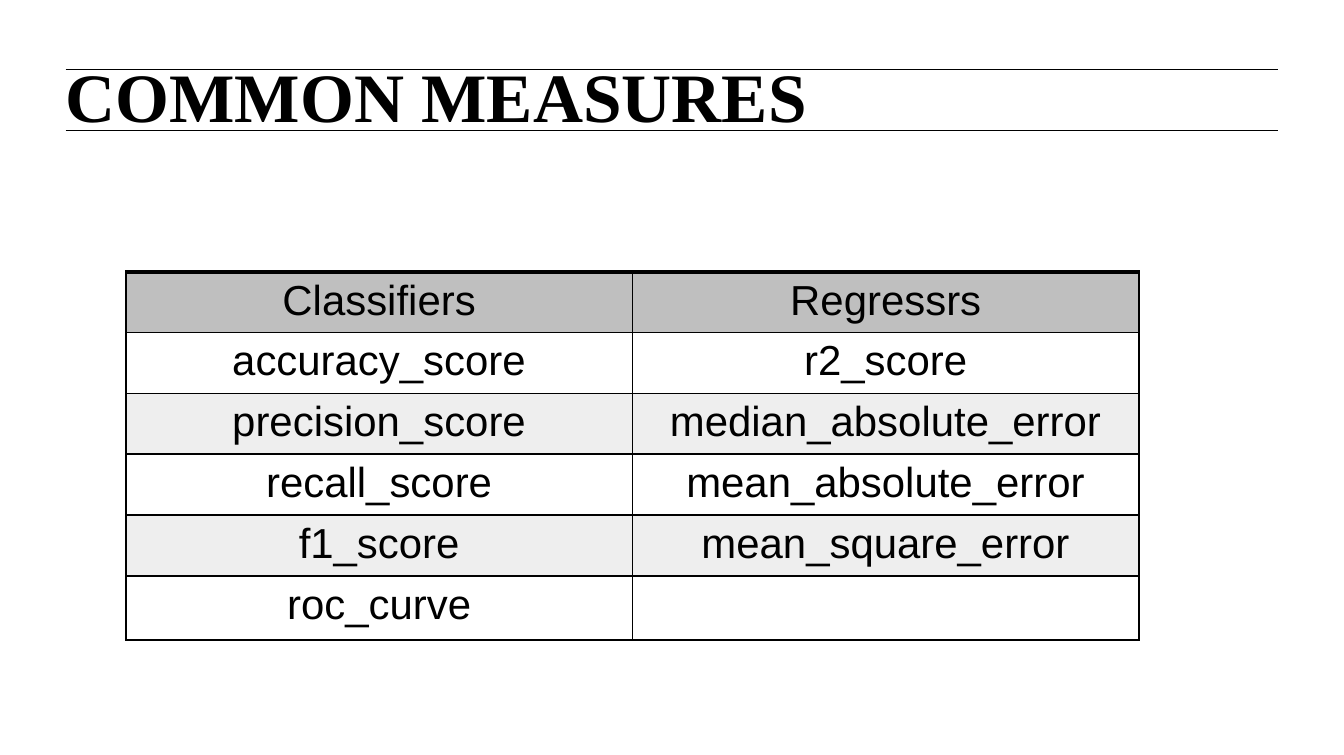
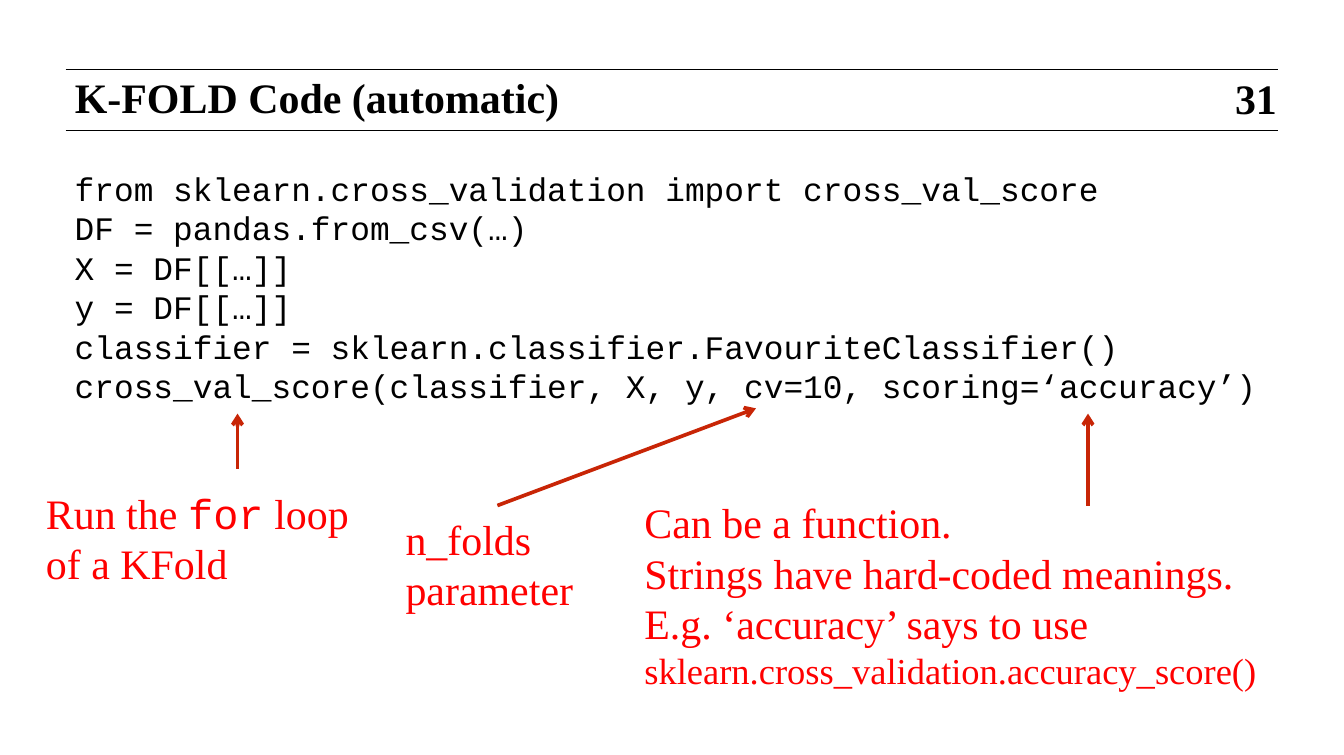
from lxml import etree
from pptx import Presentation
from pptx import util as u
from pptx.dml.color import RGBColor
from pptx.enum import shapes, text
from pptx.oxml.ns import qn

BLACK, RED, ARROW = "000000", "FF0000", "C82506"
HEADER, BAND = "BFBFBF", "EEEEEE"
SERIF, SANS, MONO = "Times New Roman", "Arial", "Courier New"

prs = Presentation()
prs.slide_width, prs.slide_height = u.Inches(10.24), u.Inches(5.75)
COL = prs.slide_width // 1024
ROW = prs.slide_height // 575


def rgb(value):
    return RGBColor.from_string(value)


def add_text(s, box, lines, size=23, font=SERIF, color=BLACK, bold=False,
             inset=6, anchor=text.MSO_ANCHOR.MIDDLE, spacing=None):
    x, y, w, h = box
    sp = s.shapes.add_textbox(x * COL, y * ROW, w * COL, h * ROW)
    tf = sp.text_frame
    tf.word_wrap = True
    tf.vertical_anchor = anchor
    tf.margin_left = tf.margin_right = inset * COL
    tf.margin_top = tf.margin_bottom = inset * ROW
    tf.text = "\n".join(lines)
    for p in tf.paragraphs:
        p.line_spacing = spacing
        for r in p.runs:
            r.font.size, r.font.name, r.font.bold = u.Pt(size), font, bold
            r.font.color.rgb = rgb(color)
    return sp


measures, kfold = [prs.slides.add_slide(prs.slide_layouts[6]) for _ in range(2)]

titles = [
    (measures, (50, 55, 921, 64), "COMMON MEASURES", 38, 0, 35),
    (kfold, (51, 55, 861, 57), "K-FOLD Code (automatic)", 23, 6, 23),
]
lines = []
for s, box, title, size, inset, spacing in titles:
    add_text(s, box, [title], size, bold=True, inset=inset,
             anchor=text.MSO_ANCHOR.TOP, spacing=u.Pt(spacing))
    for y in (53, 99):
        lines.append((s, (50, y, 974, y), BLACK, 0.25, None))

rows = [
    ("Classifiers", "Regressrs"),
    ("accuracy_score", "r2_score"),
    ("precision_score", "median_absolute_error"),
    ("recall_score", "mean_absolute_error"),
    ("f1_score", "mean_square_error"),
    ("roc_curve", ""),
]
frame = measures.shapes.add_table(
    len(rows), 2, 96 * COL, 207 * ROW, 772 * COL, 279 * ROW)
tbl = frame.table
tbl.first_row = tbl.horz_banding = False
for i, row in enumerate(rows):
    tbl.rows[i].height = (49 if i == len(rows) - 1 else 46) * ROW
    for j, label in enumerate(row):
        cell = tbl.cell(i, j)
        cell.margin_top = cell.margin_bottom = 4 * ROW
        cell.vertical_anchor = text.MSO_ANCHOR.TOP
        tcPr = cell._tc.get_or_add_tcPr()
        for side in ("lnL", "lnR", "lnT", "lnB"):
            width = 2.25 if i == 0 and side == "lnT" else 1
            ln = etree.SubElement(tcPr, qn("a:" + side), w=str(u.Pt(width)))
            fill = etree.SubElement(ln, qn("a:solidFill"))
            etree.SubElement(fill, qn("a:srgbClr"), val=BLACK)
        if i == 0 or i in (2, 4):
            cell.fill.solid()
            cell.fill.fore_color.rgb = rgb(BAND if i else HEADER)
        else:
            cell.fill.background()
        cell.text = label
        p = cell.text_frame.paragraphs[0]
        p.alignment = text.PP_ALIGN.CENTER
        for r in p.runs:
            r.font.size, r.font.name = u.Pt(23), SANS
            r.font.color.rgb = rgb(BLACK)

add_text(kfold, (941, 58, 35, 38), ["31"], bold=True, inset=0, spacing=0.9)
add_text(kfold, (51, 122, 914, 193), [
    "from sklearn.cross_validation import cross_val_score",
    "DF = pandas.from_csv(…)",
    "X = DF[[…]]",
    "y = DF[[…]]",
    "classifier = sklearn.classifier.FavouriteClassifier()",
    "cross_val_score(classifier, X, y, cv=10, scoring=‘accuracy’)",
], 18, MONO)

loop_note = add_text(kfold, (29, 365, 260, 89), ["Run the "], color=RED)
p = loop_note.text_frame.paragraphs[0]
for part, font in (("for", MONO), (" loop of a KFold", SERIF)):
    r = p.add_run()
    r.text = part
    r.font.size, r.font.name = u.Pt(23), font
    r.font.color.rgb = rgb(RED)

folds_note = add_text(
    kfold, (303, 385, 152, 89), ["n_folds parameter"], color=RED)
scoring_note = add_text(kfold, (485, 372, 491, 161), [
    "Can be a function.",
    "Strings have hard-coded meanings. E.g. ‘accuracy’ says to use",
    "sklearn.cross_validation.accuracy_score()",
], color=RED)
scoring_note.text_frame.paragraphs[-1].runs[0].font.size = u.Pt(20)
for sp in (loop_note, folds_note, scoring_note):
    sp.text_frame.auto_size = text.MSO_AUTO_SIZE.SHAPE_TO_FIT_TEXT

lines += [
    (kfold, (181, 357, 181, 315), ARROW, 2, None),
    (kfold, (379, 385, 576, 311), ARROW, 2, folds_note),
    (kfold, (829, 385, 829, 315), ARROW, 2, None),
]
for s, (x1, y1, x2, y2), color, width, source in lines:
    line = s.shapes.add_connector(
        shapes.MSO_CONNECTOR.STRAIGHT, x1 * COL, y1 * ROW, x2 * COL, y2 * ROW)
    line.line.color.rgb = rgb(color)
    line.line.width = u.Pt(width)
    etree.SubElement(line._element.spPr, qn("a:effectLst"))
    if color == ARROW:
        etree.SubElement(line.line._get_or_add_ln(), qn("a:tailEnd"), type="arrow")
    if source is not None:
        line.begin_connect(source, 0)

prs.save("out.pptx")
